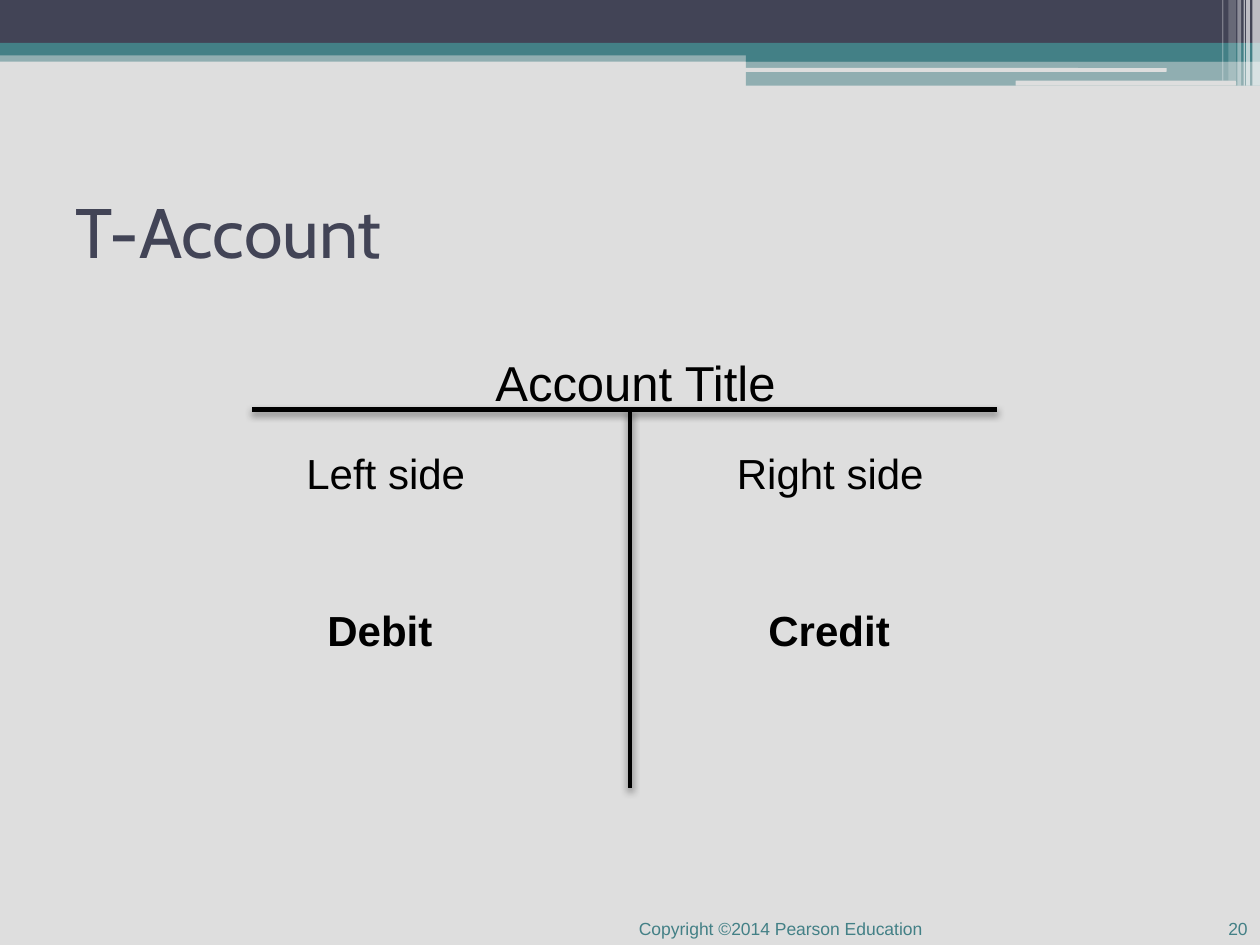
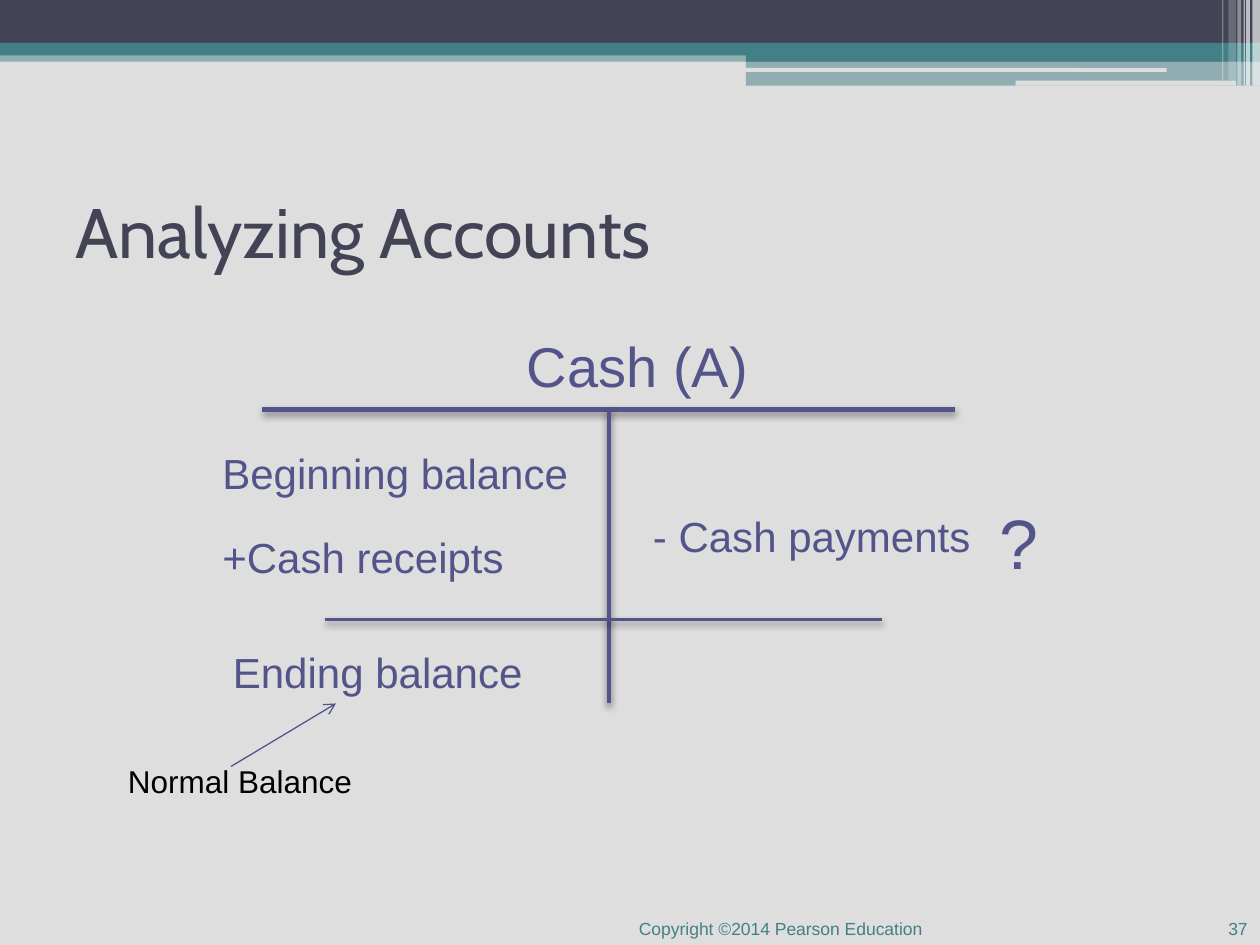
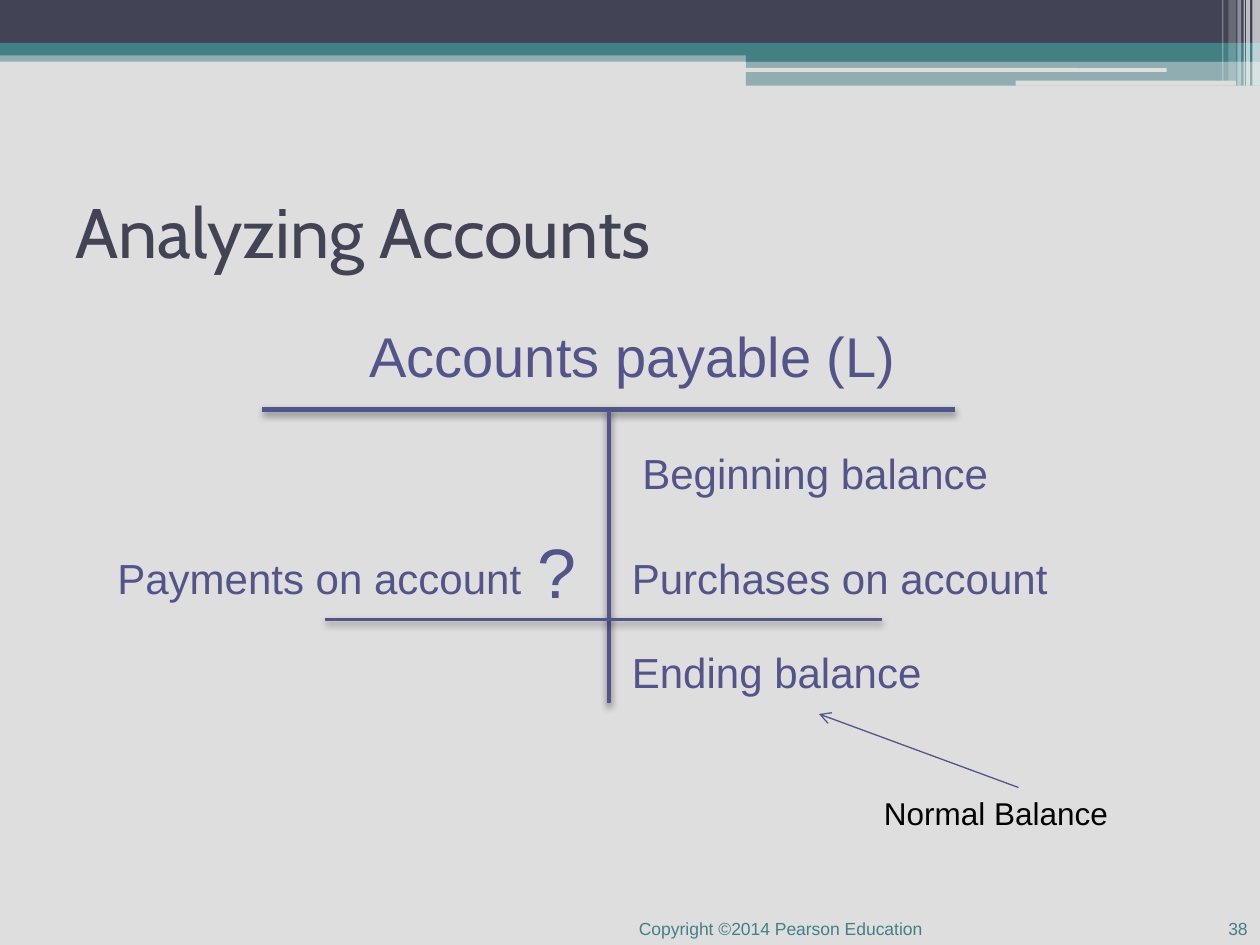
"""Builds three T-account slides on a grid of 120 columns by 90 rows."""
from lxml.etree import SubElement
from pptx import Presentation
from pptx.dml.color import RGBColor
from pptx.enum.shapes import MSO_CONNECTOR as Connector, MSO_SHAPE as Preset
from pptx.enum.text import MSO_ANCHOR as Anchor, PP_ALIGN as Align
from pptx.oxml.ns import qn
from pptx.util import Inches, Pt

COLORS = {
    "paper": "DEDEDE", "navy": "424456", "teal": "438086",
    "white": "FFFFFF", "violet": "53548A", "black": "000000",
}
WIDTH, HEIGHT = Inches(10), Inches(7.5)
CELL = WIDTH / 120
FINE = WIDTH / 1000

# left, top, width, height in thousandths of the slide's width; opacity in percent
BANDS = [
    (Preset.RECTANGLE, 0, 40, 1000, 9, "teal", 50),
    (Preset.RECTANGLE, 0, 0, 1000, 34, "navy", 100),
    (Preset.RECTANGLE, 0, 34, 1000, 10, "teal", 100),
    (Preset.RECTANGLE, 592, 39, 408, 10, "teal", 100),
    (Preset.RECTANGLE, 592, 48, 408, 20, "teal", 50),
    (Preset.ROUNDED_RECTANGLE, 591, 54, 335, 3, "paper", 100),
    (Preset.ROUNDED_RECTANGLE, 806, 64, 175, 4, "paper", 100),
    (Preset.RECTANGLE, 994, 0, 6, 68, "white", 65),
    (Preset.RECTANGLE, 989, 0, 3, 68, "white", 65),
    (Preset.RECTANGLE, 987, 0, 1, 68, "white", 60),
    (Preset.RECTANGLE, 982, 0, 3, 68, "white", 40),
    (Preset.RECTANGLE, 975, 0, 6, 64, "white", 20),
    (Preset.RECTANGLE, 970, 0, 1, 64, "white", 30),
]

# rules: from column, from row, to column, to row, weight, shadow opacity
ANALYSIS_RULES = [
    (25, 39, 91, 39, 2.5, 45),
    (58, 39, 58, 67, 2.5, 45),
    (31, 59, 84, 59, 1.5, 40),
]
# entries: text, column, row, width in columns, size
ACCOUNTS = [
    {
        "title": "T-Account", "number": "20", "ink": "black",
        "rules": [(24, 39, 95, 39, 2.5, 45), (60, 39, 60, 75, 2.5, 45)],
        "entries": [
            ("Account Title", 46, 33, 33, 28),
            ("Left side", 28, 42, 23, 24),
            ("Right side", 69, 42, 23, 24),
        ],
        "sides": [("Debit", 30, 57, 15, 24), ("Credit", 72, 57, 15, 24)],
    },
    {
        "title": "Analyzing Accounts", "number": "37", "ink": "violet",
        "rules": ANALYSIS_RULES,
        "entries": [
            ("Cash (A)", 49, 31, 30, 32),
            ("Beginning balance", 20, 42, 38, 24),
            ("Ending balance", 21, 61, 38, 24),
            ("+Cash receipts", 20, 50, 36, 24),
            ("?", 94, 47, 9, 40),
            ("- Cash payments", 61, 48, 38, 24),
        ],
        "normal": (11, 72, 45), "pointer": (22, 73, 32, 67),
    },
    {
        "title": "Analyzing Accounts", "number": "38", "ink": "violet",
        "rules": ANALYSIS_RULES,
        "entries": [
            ("Accounts payable (L)", 34, 30, 59, 32),
            ("Beginning balance", 60, 42, 38, 24),
            ("Ending balance", 59, 61, 38, 24),
            ("Payments on account", 10, 52, 42, 24),
            ("?", 50, 49.7, 9, 40),
            ("Purchases on account", 59, 52, 45, 24),
        ],
        "normal": (83, 75, 33), "pointer": (97, 75, 78, 68),
    },
]


def write(slide, text, column, row, columns, size, color, rows=None,
          font="Arial", bold=False, anchor=Anchor.TOP, align=Align.LEFT):
    rows = rows or size * 0.2 + 1.2
    box = slide.shapes.add_textbox(*(int(n * CELL) for n in (column, row, columns, rows)))
    frame = box.text_frame
    frame.word_wrap = True
    frame.vertical_anchor = anchor
    paragraph = frame.paragraphs[0]
    paragraph.alignment = align
    run = paragraph.add_run()
    run.text = text
    run.font.name, run.font.size, run.font.bold = font, Pt(size), bold
    run.font.color.rgb = RGBColor.from_string(COLORS[color])


def draw_line(slide, ends, weight, color, shadow=0, arrow=False):
    line = slide.shapes.add_connector(Connector.STRAIGHT, *(int(n * CELL) for n in ends))
    line.line.width = Pt(weight)
    line.line.color.rgb = RGBColor.from_string(COLORS[color])
    if arrow:
        SubElement(line.line._get_or_add_ln(), qn("a:tailEnd"), type="arrow")
    effects = SubElement(line._element.spPr, qn("a:effectLst"))
    if shadow:
        outer = SubElement(effects, qn("a:outerShdw"), blurRad=str(Pt(4)), dist=str(Pt(2)),
                           dir="5400000", rotWithShape="0")
        tint = SubElement(outer, qn("a:srgbClr"), val=COLORS["black"])
        SubElement(tint, qn("a:alpha"), val=str(shadow * 1000))


deck = Presentation()
deck.slide_width, deck.slide_height = WIDTH, HEIGHT
paper = deck.slide_master.background.fill
paper.solid()
paper.fore_color.rgb = RGBColor.from_string(COLORS["paper"])

for account in ACCOUNTS:
    slide = deck.slides.add_slide(deck.slide_layouts[6])
    for preset, left, top, width, height, color, opacity in BANDS:
        band = slide.shapes.add_shape(preset, *(int(n * FINE) for n in (left, top, width, height)))
        band.shadow.inherit = False
        band.line.fill.background()
        band.fill.solid()
        band.fill.fore_color.rgb = RGBColor.from_string(COLORS[color])
        if opacity < 100:
            tint = band._element.spPr.find(qn("a:solidFill"))[0]
            SubElement(tint, qn("a:alpha"), val=str(opacity * 1000))

    write(slide, account["title"], 6, 15, 108, 40, "navy", rows=14, font="Cabin",
          anchor=Anchor.MIDDLE)
    for *ends, weight, shadow in account["rules"]:
        draw_line(slide, ends, weight, account["ink"], shadow)
    for entry in account["entries"]:
        write(slide, *entry, account["ink"])
    for side in account.get("sides", []):
        write(slide, *side, account["ink"], bold=True)

    write(slide, "Copyright ©2014 Pearson Education", 32, 86, 57, 10, "teal", rows=4,
          anchor=Anchor.BOTTOM, align=Align.RIGHT)
    write(slide, account["number"], 110, 85.2, 10, 10, "teal", rows=4.8,
          anchor=Anchor.BOTTOM, align=Align.RIGHT)
    if "normal" in account:
        write(slide, "Normal Balance", *account["normal"], 18, "black")
        draw_line(slide, account["pointer"], 0.75, "violet", arrow=True)

deck.save("out.pptx")
